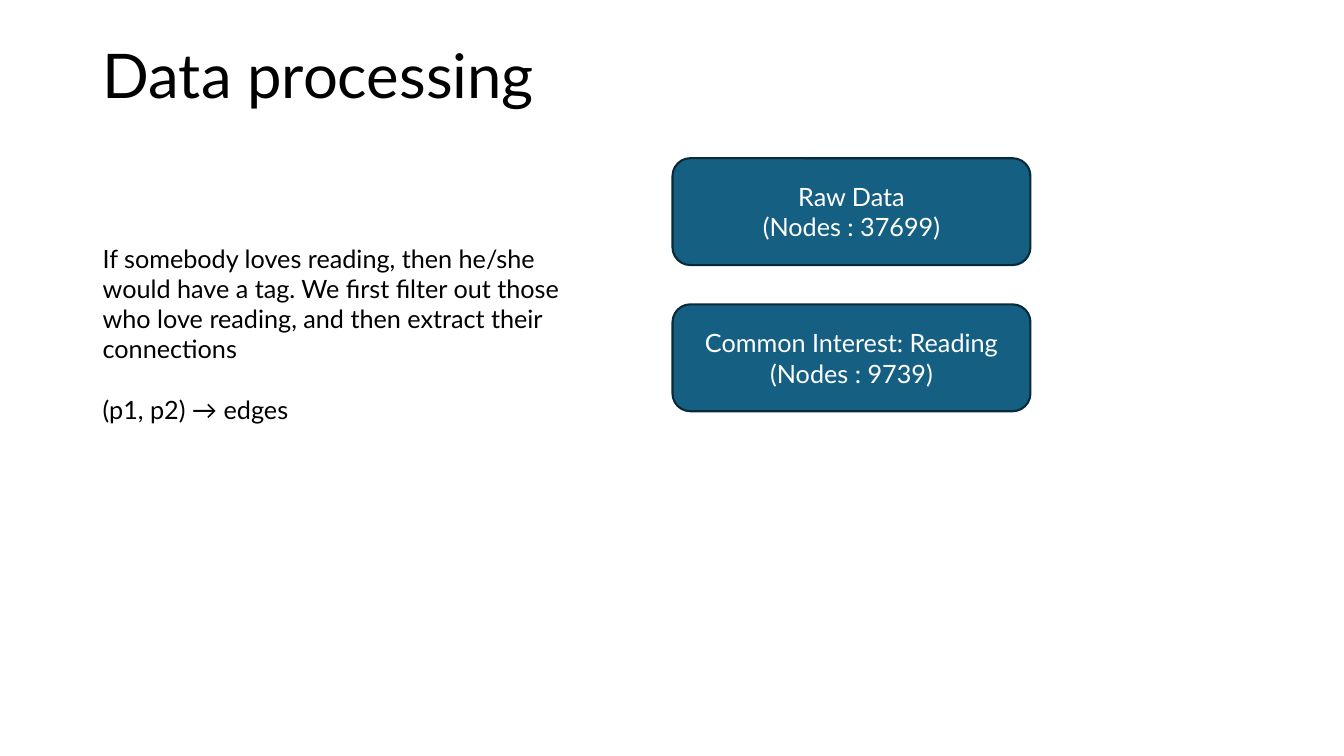
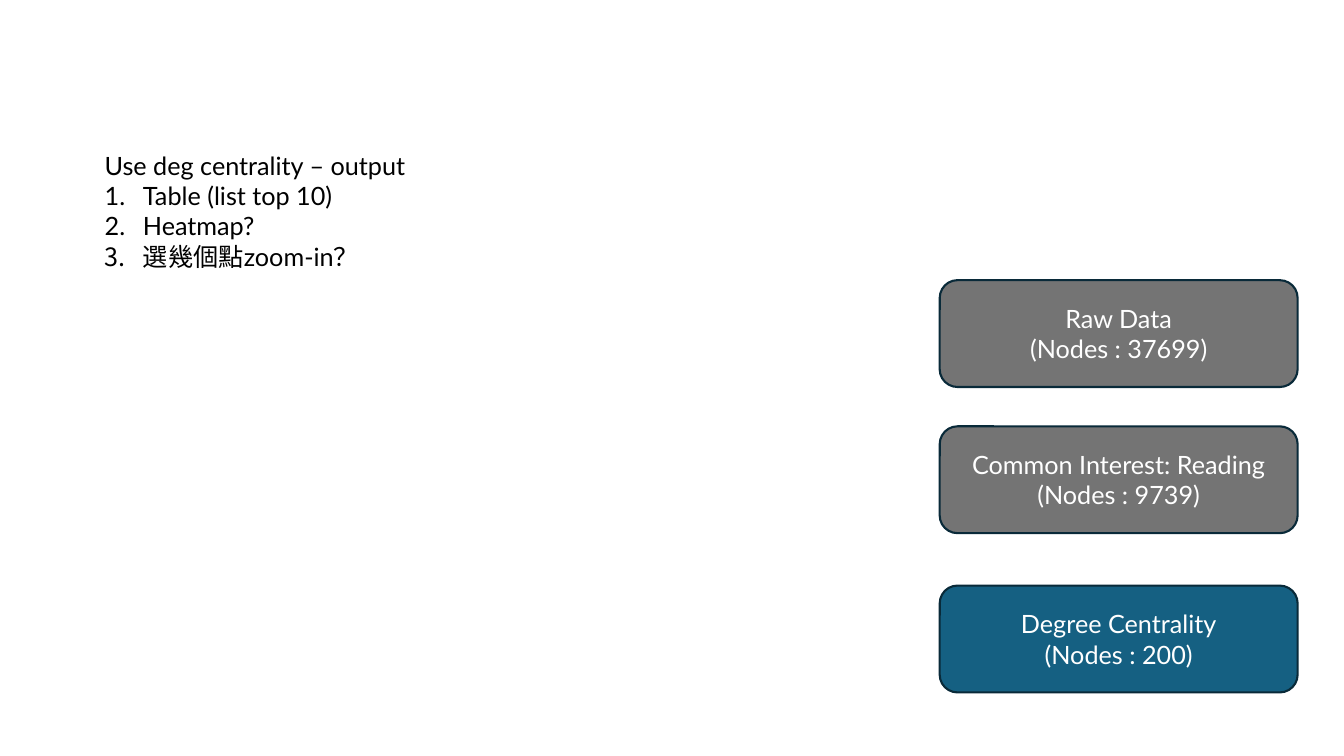
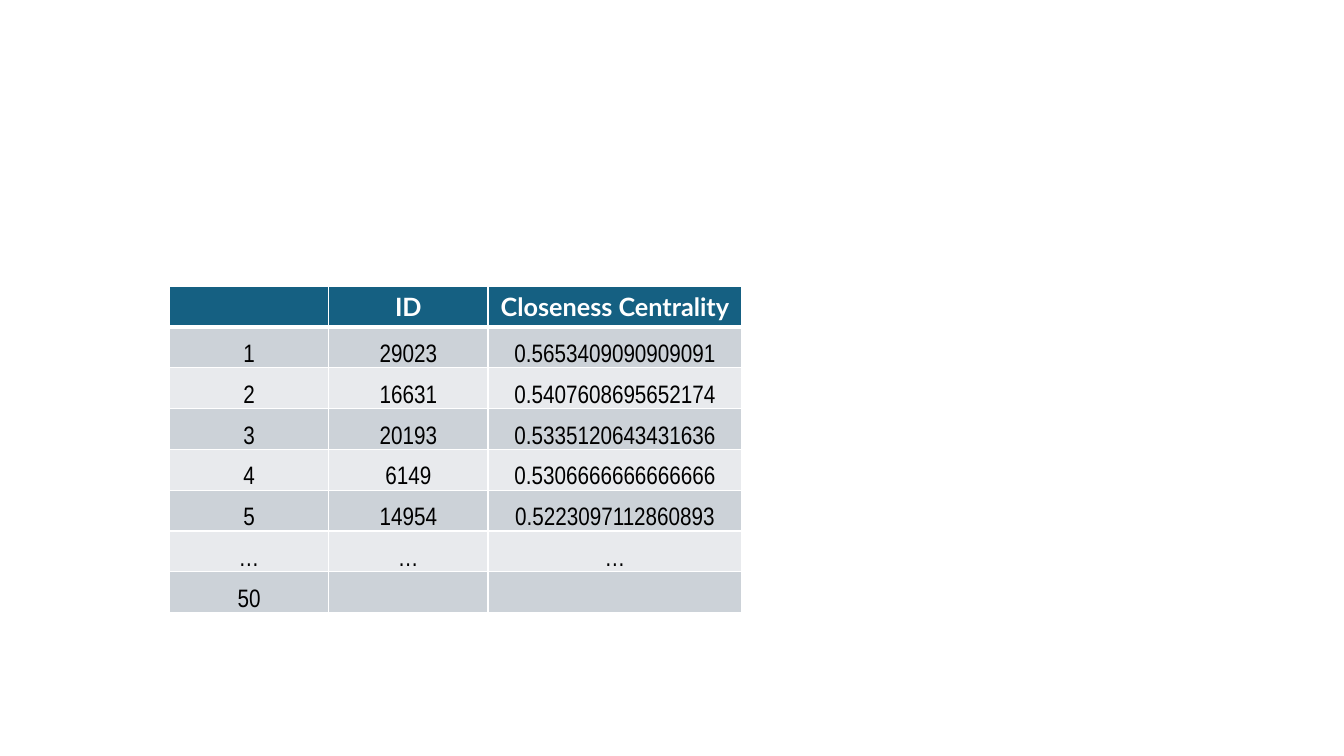
from lxml.etree import SubElement
from pptx import Presentation
from pptx.dml.color import RGBColor
from pptx.enum.shapes import MSO_SHAPE as Shape
from pptx.enum.text import MSO_ANCHOR as Anchor, PP_ALIGN as Align
from pptx.oxml import parse_xml
from pptx.oxml.ns import nsdecls, qn
from pptx.util import Inches, Pt

COLORS = {
    "text": "000000", "white": "FFFFFF", "accent": "156082", "done": "747474",
    "outline": "092A39", "band_dark": "CCD2D8", "band_light": "E8EAED",
}
BODY_FONT, TABLE_FONT = "Lato", "Arial Narrow"
BODY_SIZE, TITLE_SIZE = 18, 44
BLANK_LAYOUT = 6

RAW_DATA = ("Raw Data", "(Nodes : 37699)")
READING = ("Common Interest: Reading", "(Nodes : 9739)")
DEGREE = ("Degree Centrality", "(Nodes : 200)")
NODE_WIDTH, NODE_HEIGHT = 3.55, 1.06

COLUMN_WIDTHS = (1.58, 1.58, 2.52)
CENTRALITY_ROWS = (
    ("", "ID", "Closeness Centrality"),
    ("1", "29023", "0.5653409090909091"),
    ("2", "16631", "0.5407608695652174"),
    ("3", "20193", "0.5335120643431636"),
    ("4", "6149", "0.5306666666666666"),
    ("5", "14954", "0.5223097112860893"),
    ("…", "…", "…"),
    ("50", "", ""),
)


def color(name):
    """Return the named palette colour."""
    return RGBColor.from_string(COLORS[name])


def style(para, ink="text", size=BODY_SIZE, font=BODY_FONT, bold=False, align=Align.LEFT):
    """Set the font and alignment of a whole paragraph."""
    para.alignment = align
    para.font.name = font
    para.font.size = Pt(size)
    para.font.bold = bold
    para.font.color.rgb = color(ink)


def write(frame, lines, **look):
    """Fill a text frame with one styled paragraph per line."""
    frame.word_wrap = True
    frame.text = "\n".join(lines)
    for para in frame.paragraphs:
        style(para, **look)
    return frame.paragraphs


def add_text(page, box, lines, **look):
    """Place a text box and return its paragraphs."""
    frame = page.shapes.add_textbox(*map(Inches, box)).text_frame
    return write(frame, lines, **look)


def add_title(page, title):
    """Place the slide title."""
    para, = add_text(page, (0.92, 0.4, 11.5, 1.45), [title], size=TITLE_SIZE)
    para.line_spacing = 0.9


def number(para):
    """Turn a paragraph into an automatically numbered item."""
    props = para._p.get_or_add_pPr()
    props.set("marL", str(Inches(0.38)))
    props.set("indent", str(-Inches(0.38)))
    bullet = parse_xml(f'<a:buAutoNum {nsdecls("a")} type="arabicPeriod"/>')
    props.insert_element_before(bullet, "a:tabLst", "a:defRPr", "a:extLst")


def add_node(page, left, top, lines, fill="accent"):
    """Place one rounded box of the filtering flow."""
    node = page.shapes.add_shape(
        Shape.ROUNDED_RECTANGLE, *map(Inches, (left, top, NODE_WIDTH, NODE_HEIGHT)))
    node.shadow.inherit = False
    node.fill.solid()
    node.fill.fore_color.rgb = color(fill)
    node.line.color.rgb = color("outline")
    node.line.width = Pt(1.5)
    node.text_frame.vertical_anchor = Anchor.MIDDLE
    write(node.text_frame, lines, ink="white", align=Align.CENTER)


def add_borders(cell, bottom):
    """Draw white borders round a cell, with its own bottom width."""
    props = cell._tc.get_or_add_tcPr()
    widths = {"a:lnL": 1, "a:lnR": 1, "a:lnT": 1, "a:lnB": bottom}
    for index, (tag, width) in enumerate(widths.items()):
        line = props.makeelement(qn(tag), {"w": str(Pt(width))})
        fill = SubElement(line, qn("a:solidFill"))
        SubElement(fill, qn("a:srgbClr"), val=COLORS["white"])
        props.insert(index, line)


def fill_cell(cell, text, row):
    """Write and style a table cell according to its row."""
    header = row == 0
    cell.fill.solid()
    band = "band_dark" if row % 2 else "band_light"
    cell.fill.fore_color.rgb = color("accent" if header else band)
    add_borders(cell, bottom=3 if header else 1)
    if header:
        look = {"ink": "white", "bold": True}
    else:
        look = {"font": TABLE_FONT}
        cell.vertical_anchor = Anchor.BOTTOM
        cell.margin_left = cell.margin_right = cell.margin_top = Inches(0.01)
        cell.margin_bottom = 0
    cell.text = text
    style(cell.text_frame.paragraphs[0], align=Align.CENTER, **look)


def add_centrality_table(page, left, top, height):
    """Place the ranking table with equal row heights."""
    box = map(Inches, (left, top, sum(COLUMN_WIDTHS), height))
    table = page.shapes.add_table(len(CENTRALITY_ROWS), len(COLUMN_WIDTHS), *box).table
    table.horz_banding = False
    for column, width in zip(table.columns, COLUMN_WIDTHS):
        column.width = Inches(width)
    for row, values in enumerate(CENTRALITY_ROWS):
        for column, text in enumerate(values):
            fill_cell(table.cell(row, column), text, row)


def build_processing(page):
    """Build the data processing slide."""
    add_title(page, "Data processing")
    paras = add_text(page, (0.92, 2.36, 4.87, 1.92), [
        "If somebody loves reading, then he/she would have a tag. We first filter out "
        "those who love reading, and then extract their connections",
        "(p1, p2) → edges",
    ])
    paras[1].space_before = Pt(21.6)
    add_node(page, 6.67, 1.57, RAW_DATA)
    add_node(page, 6.67, 3.02, READING)


def build_degree(page):
    """Build the degree centrality slide."""
    paras = add_text(page, (0.94, 1.44, 4.87, 1.31), [
        "Use deg centrality – output", "Table (list top 10)", "Heatmap?", "選幾個點zoom-in？",
    ])
    for para in paras[1:]:
        number(para)
    add_node(page, 9.32, 2.78, RAW_DATA, "done")
    add_node(page, 9.32, 4.23, READING, "done")
    add_node(page, 9.32, 5.81, DEGREE)


def build_closeness(page):
    """Build the closeness centrality slide."""
    add_centrality_table(page, 1.68, 2.84, 3.24)


def main():
    """Build and save the deck."""
    deck = Presentation()
    deck.slide_width, deck.slide_height = Inches(13.33), Inches(7.5)
    for build in (build_processing, build_degree, build_closeness):
        build(deck.slides.add_slide(deck.slide_layouts[BLANK_LAYOUT]))
    deck.save("out.pptx")


if __name__ == "__main__":
    main()
